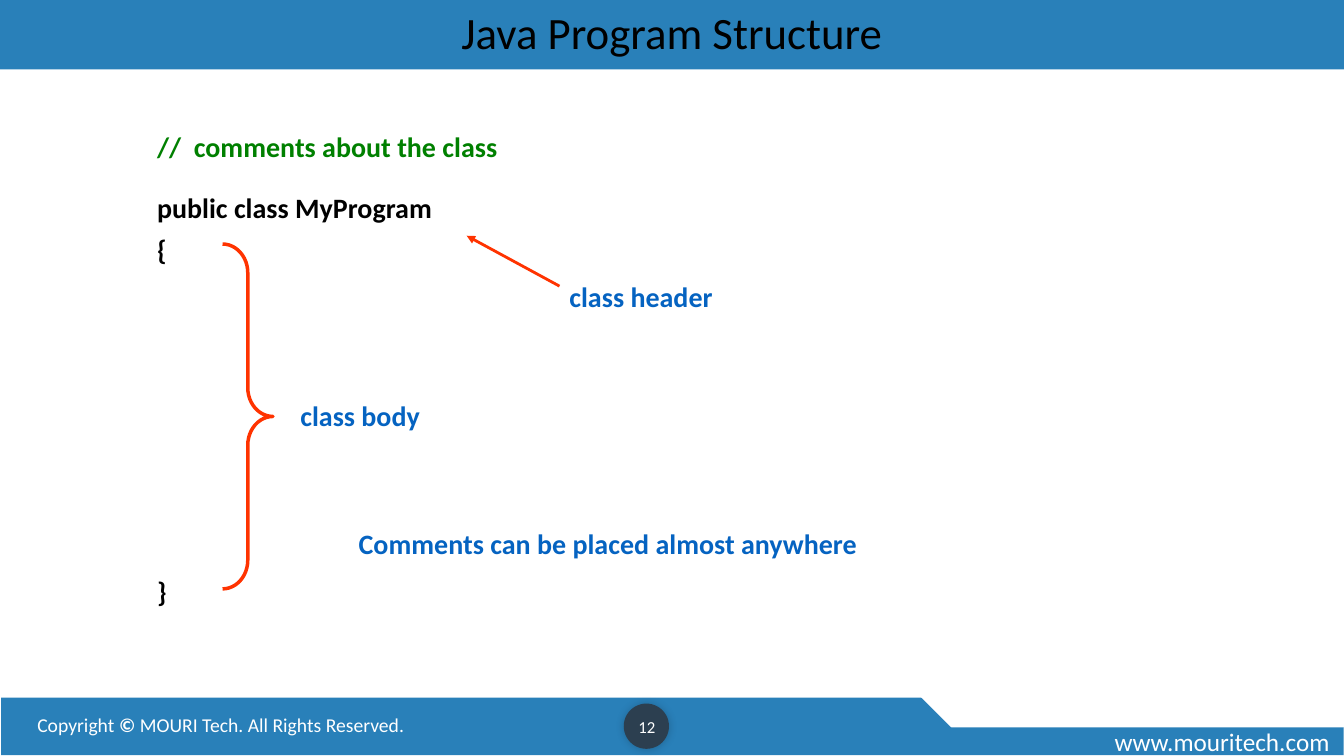
from lxml.etree import SubElement
from pptx import Presentation
from pptx.dml.color import RGBColor
from pptx.enum.shapes import MSO_CONNECTOR as Link, MSO_SHAPE as Preset
from pptx.enum.text import MSO_ANCHOR as Anchor, PP_ALIGN as Align
from pptx.oxml.ns import qn
from pptx.util import Cm, Pt

COLOURS = {"band": "2980B9", "badge": "2C3F50", "white": "FFFFFF", "black": "000000",
           "comment": "008000", "label": "0563C1", "mark": "FF3300"}
CODE_LEFT = 3.71
LINE_HEIGHT = 1.12


def colour(name):
    return RGBColor.from_string(COLOURS[name])


def add_block(page, preset, place, fill=None, line=None, width=1, adjustments=()):
    block = page.shapes.add_shape(preset, *map(Cm, place))
    block.shadow.inherit = False
    for index, value in enumerate(adjustments):
        block.adjustments[index] = value
    if fill:
        block.fill.solid()
        block.fill.fore_color.rgb = colour(fill)
    else:
        block.fill.background()
    if line:
        block.line.color.rgb = colour(line)
        block.line.width = Pt(width)
    else:
        block.line.fill.background()
    return block


def add_glow(block):
    effects = block._element.spPr.find(qn("a:effectLst"))
    shadow = SubElement(effects, qn("a:outerShdw"), blurRad=str(Pt(6)), dist="0",
                        dir="18900000", rotWithShape="0")
    tint = SubElement(shadow, qn("a:srgbClr"), val=COLOURS["black"])
    SubElement(tint, qn("a:alpha"), val="20000")


def write(para, spans, size, ink, **layout):
    """Fill a paragraph with (wording, bold) spans."""
    for name, value in layout.items():
        setattr(para, name, value)
    for wording, bold in spans:
        span = para.add_run()
        span.text = wording
        style = {"name": "Calibri", "size": Pt(size), "bold": bold}
        for name, value in style.items():
            setattr(span.font, name, value)
        span.font.color.rgb = colour(ink)


def add_text(page, place, spans, size, ink, wrap=True, anchor=Anchor.TOP, **layout):
    box = page.shapes.add_textbox(*map(Cm, place))
    frame = box.text_frame
    frame.word_wrap = wrap
    frame.vertical_anchor = anchor
    write(frame.paragraphs[0], spans, size, ink, **layout)
    return frame


def add_bold_line(page, place, wording, ink, **layout):
    return add_text(page, place, [(wording, True)], 20, ink, wrap=False, **layout)


def add_arrow(page, start, end):
    arrow = page.shapes.add_connector(Link.STRAIGHT, *map(Cm, start + end))
    arrow.line.color.rgb = colour("mark")
    arrow.line.width = Pt(2)
    SubElement(arrow.line._get_or_add_ln(), qn("a:tailEnd"), type="triangle")
    SubElement(arrow._element.spPr, qn("a:effectLst"))


def add_footer(page):
    add_block(page, Preset.RECTANGLE, (0.03, 17.58, 33.83, 1.45), "band")
    add_block(page, Preset.SNIP_2_DIAG_RECTANGLE, (22.66, 15.67, 11.2, 2.64),
              "white", "white", adjustments=(0, 0.5))
    add_text(page, (27.84, 18.19, 6.05, 1.02), [("www.mouritech.com", False)], 18, "white")
    add_text(page, (0.69, 17.83, 18.21, 0.86),
             [("Copyright ", False), ("© ", True), ("MOURI Tech. All Rights Reserved.", False)],
             14, "white")
    badge = add_block(page, Preset.OVAL, (15.72, 17.73, 1.14, 1.14), "badge")
    add_glow(badge)
    add_text(page, (15.77, 17.81, 1.07, 1.02), [("12", False)], 12, "white",
             anchor=Anchor.MIDDLE, alignment=Align.CENTER)


def add_title(page, wording):
    band = add_block(page, Preset.RECTANGLE, (0, 0, 33.87, 1.75), "band")
    band.text_frame.vertical_anchor = Anchor.MIDDLE
    write(band.text_frame.paragraphs[0], [(wording, False)], 32, "black",
          alignment=Align.CENTER, line_spacing=0.9)


def main():
    deck = Presentation()
    deck.slide_width, deck.slide_height = Cm(33.87), Cm(19.05)
    page = deck.slides.add_slide(deck.slide_layouts[6])
    add_footer(page)
    add_title(page, "Java Program Structure")

    # Code of the class; the closing brace stands nine lines lower
    add_bold_line(page, (CODE_LEFT, 3.23, 9.17, 1.02), "//  comments about the class",
                  "comment", line_spacing=0.9)
    add_bold_line(page, (CODE_LEFT, 4.67, 7.49, LINE_HEIGHT), "public class MyProgram", "black")
    braces = add_bold_line(page, (CODE_LEFT, 5.74, 0.76, 9.65), "{", "black")
    write(braces.add_paragraph(), [("}", True)], 20, "black", space_before=Pt(220))

    # Marks and their labels
    add_block(page, Preset.RIGHT_BRACE, (5.61, 6.15, 1.27, 8.69), line="mark", width=2.5,
              adjustments=(0.57, 0.5))
    add_arrow(page, (14.1, 7.21), (11.76, 5.94))
    for left, top, width, wording in (
            (7.32, 9.91, 3.56, "class body"),
            (14.1, 6.93, 4.17, "class header"),
            (8.79, 13.13, 13.18, "Comments can be placed almost anywhere")):
        add_bold_line(page, (left, top, width, LINE_HEIGHT), wording, "label")

    deck.save("out.pptx")


if __name__ == "__main__":
    main()
